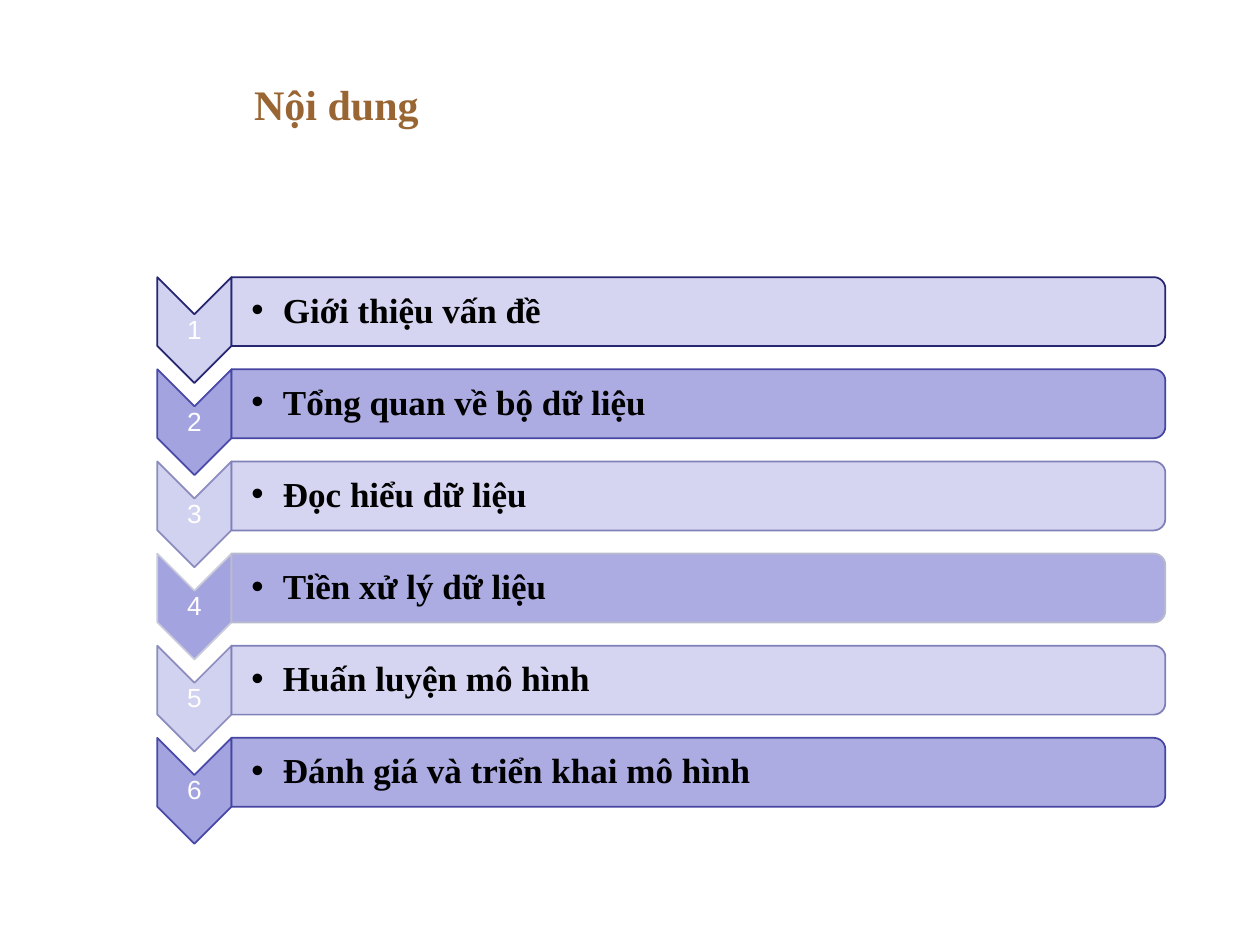
from lxml.etree import SubElement
from pptx import Presentation
from pptx.dml.color import RGBColor
from pptx.enum.shapes import MSO_SHAPE
from pptx.enum.text import MSO_ANCHOR, PP_ALIGN
from pptx.oxml.ns import qn
from pptx.util import Pt

ROWS = [
    ("Giới thiệu vấn đề", "D1D1F0", "262671", "262671"),
    ("Tổng quan về bộ dữ liệu", "A3A3E0", "4949A7", "4646A2"),
    ("Đọc hiểu dữ liệu", "D1D1F0", "8C8CBF", "8080B9"),
    ("Tiền xử lý dữ liệu", "A3A3E0", "CACADA", "BBBBD0"),
    ("Huấn luyện mô hình", "D1D1F0", "8C8CBF", "8080B9"),
    ("Đánh giá và triển khai mô hình", "A3A3E0", "4949A7", "4646A2"),
]
ROW_TOP, ROW_PITCH = 158.4, 52.65
CHEVRON_LEFT, CHEVRON_WIDTH, CHEVRON_HEIGHT = 89.9, 42.4, 60.5
BAR_LEFT, BAR_WIDTH, BAR_HEIGHT = 132.3, 533.6, 39.4


def color(value):
    return RGBColor.from_string(value)


def apply(target, values):
    for name, value in values.items():
        setattr(target, name, value)


class Agenda:
    title_font = {"name": "Times New Roman", "size": Pt(24), "bold": True}
    number_font = {"name": "Arial", "size": Pt(15), "bold": False}
    topic_font = {"name": "Times New Roman", "size": Pt(20), "bold": True}
    number_para = {"alignment": PP_ALIGN.CENTER, "line_spacing": 0.9, "space_after": Pt(5.25)}
    topic_para = {"alignment": PP_ALIGN.LEFT, "line_spacing": 0.9, "space_after": Pt(3)}

    def __init__(self, deck):
        self.slide = deck.slides.add_slide(deck.slide_layouts[5])
        self.group = self.slide.shapes.add_group_shape()

    def add_span(self, para, text, font, font_color):
        span = para.add_run()
        span.text = text
        apply(span.font, font)
        span.font.color.rgb = color(font_color)

    def title(self, text, left, top, width, height):
        box = self.slide.shapes.title
        apply(box, {"left": Pt(left), "top": Pt(top), "width": Pt(width), "height": Pt(height)})
        box.text_frame.vertical_anchor = MSO_ANCHOR.MIDDLE
        para = box.text_frame.paragraphs[0]
        para.alignment = PP_ALIGN.LEFT
        self.add_span(para, text, self.title_font, "996633")

    def turned_shape(self, kind, left, top, width, height, fill, line, opacity=100):
        shape = self.group.shapes.add_shape(
            kind,
            Pt(left + (width - height) / 2),
            Pt(top + (height - width) / 2),
            Pt(height),
            Pt(width),
        )
        shape.rotation = 90
        shape.shadow.inherit = False
        shape.fill.solid()
        shape.fill.fore_color.rgb = color(fill)
        shape.line.color.rgb = color(line)
        shape.line.width = Pt(1)
        if opacity < 100:
            fill_color = shape._element.spPr.find(qn("a:solidFill"))[0]
            SubElement(fill_color, qn("a:alpha"), val=str(opacity * 1000))

    def label(self, text, left, top, width, height, para_format, font, font_color, inset=0.9):
        box = self.group.shapes.add_textbox(Pt(left), Pt(top), Pt(width), Pt(height))
        frame = box.text_frame
        apply(frame, {
            "word_wrap": True,
            "vertical_anchor": MSO_ANCHOR.MIDDLE,
            "margin_left": Pt(inset),
            "margin_right": Pt(0.9),
            "margin_top": Pt(0.9),
            "margin_bottom": Pt(0.9),
        })
        para = frame.paragraphs[0]
        apply(para, para_format)
        self.add_span(para, text, font, font_color)
        return para

    def bullet(self, para, indent):
        properties = para._p.get_or_add_pPr()
        properties.set("marL", str(Pt(indent)))
        properties.set("indent", str(-Pt(indent)))
        SubElement(properties, qn("a:buFont"), typeface="Arial")
        SubElement(properties, qn("a:buChar"), char="•")

    def row(self, number, topic, fill, chevron_line, bar_line):
        top = ROW_TOP + (number - 1) * ROW_PITCH
        self.turned_shape(MSO_SHAPE.CHEVRON, CHEVRON_LEFT, top, CHEVRON_WIDTH,
                          CHEVRON_HEIGHT, fill, chevron_line)
        self.label(str(number), CHEVRON_LEFT, top + 21.4, CHEVRON_WIDTH, 18.2,
                   self.number_para, self.number_font, "FFFFFF")
        self.turned_shape(MSO_SHAPE.ROUND_2_SAME_RECTANGLE, BAR_LEFT, top, BAR_WIDTH,
                          BAR_HEIGHT, fill, bar_line, opacity=90)
        para = self.label(topic, BAR_LEFT, top + 2, BAR_WIDTH - 2, BAR_HEIGHT - 4,
                          self.topic_para, self.topic_font, "000000", inset=11.4)
        self.bullet(para, 18)


def main():
    deck = Presentation()
    apply(deck, {"slide_width": Pt(720), "slide_height": Pt(540)})
    agenda = Agenda(deck)
    agenda.title("Nội dung", 138, 22.5, 558, 74)
    for number, row in enumerate(ROWS, start=1):
        agenda.row(number, *row)
    deck.save("out.pptx")


if __name__ == "__main__":
    main()
